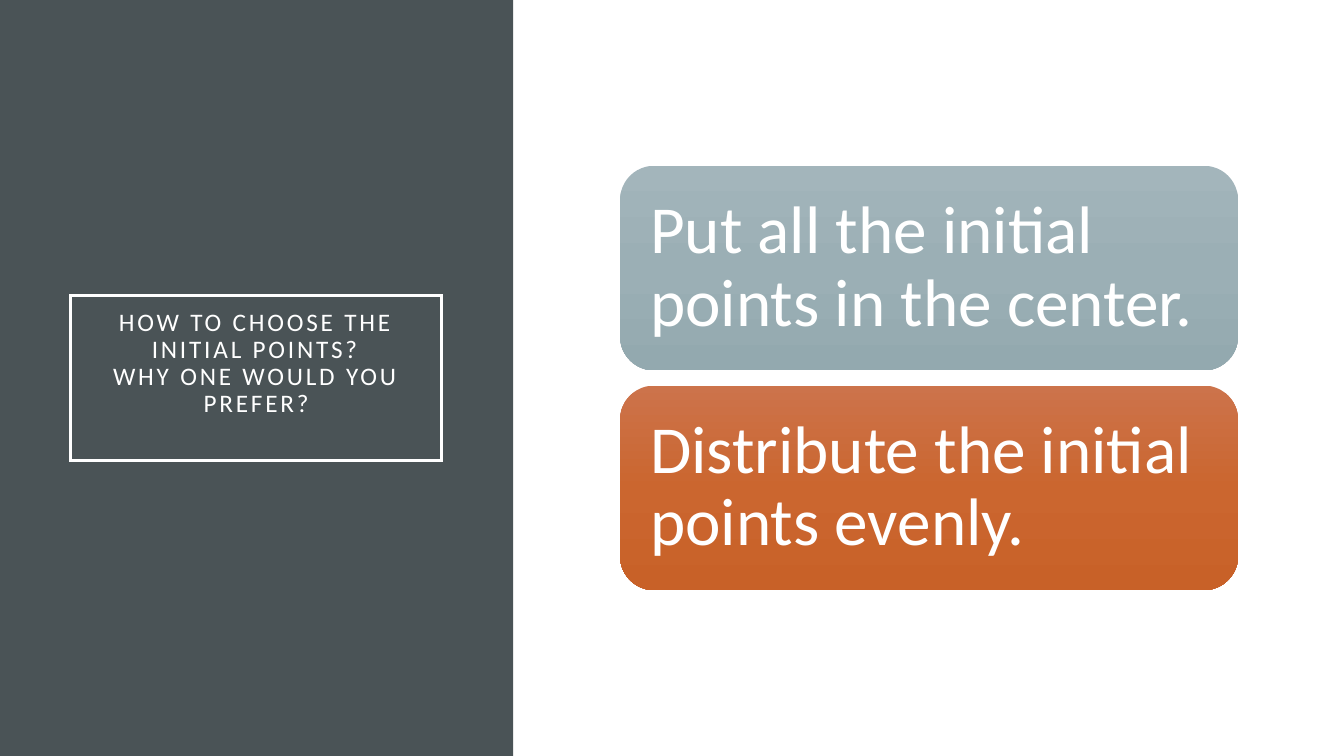
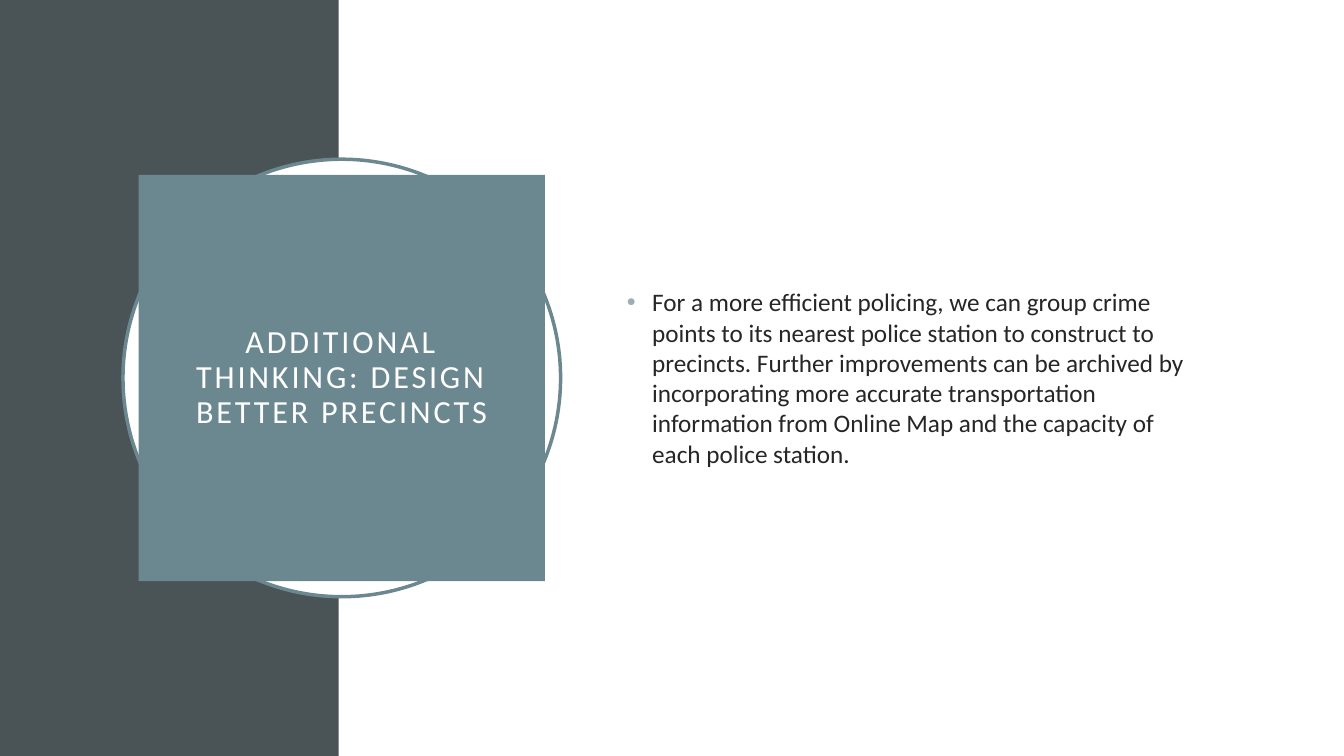
import copy
from dataclasses import dataclass

import pptx
import pptx.dml.color
import pptx.enum.shapes
import pptx.enum.text
import pptx.oxml
import pptx.oxml.ns
import pptx.util

Inches = pptx.util.Inches
Pt = pptx.util.Pt
SHAPES = pptx.enum.shapes.MSO_SHAPE
ALIGN = pptx.enum.text.PP_ALIGN
qn = pptx.oxml.ns.qn

# Content
QUESTION = "HOW TO CHOOSE THE INITIAL POINTS?\vWHY ONE WOULD YOU PREFER?"
OPTIONS = [
    ("Put all the initial points in the center.", ("A3B5BB", "9BAFB5", "93A9AF")),
    ("Distribute the initial points evenly.", ("CC734B", "CB662F", "C86128")),
]
THINKING = "ADDITIONAL THINKING: DESIGN BETTER PRECINCTS"
IDEA = (
    "For a more efficient policing, we can group crime points to its nearest police "
    "station to construct to precincts. Further improvements can be archived by "
    "incorporating more accurate transportation information from Online Map and the "
    "capacity of each police station."
)


@dataclass(frozen=True)
class Theme:
    font: str = "Calibri"
    band: str = "4A5356"
    accent: str = "6B8891"
    bullet: str = "9BAFB5"
    white: str = "FFFFFF"
    ink: str = "262626"
    outline: float = 2.5
    question_size: int = 18
    thinking_size: int = 23
    option_size: int = 48
    body_size: int = 18
    tracking: int = 200  # hundredths of a point
    tight: float = 0.9


THEME = Theme()
SLIDE_WIDTH, SLIDE_HEIGHT = 13.33, 7.5


def rgb(value):
    return pptx.dml.color.RGBColor.from_string(value)


# Shared parts
def add_panel(slide, kind, box, fill=None, line=None):
    shape = slide.shapes.add_shape(kind, *map(Inches, box))
    shape.shadow.inherit = False
    if fill:
        shape.fill.solid()
        shape.fill.fore_color.rgb = rgb(fill)
    else:
        shape.fill.background()
    if line:
        shape.line.color.rgb = rgb(line)
        shape.line.width = Pt(THEME.outline)
        outline = shape._element.spPr.find(qn("a:ln"))
        outline.append(outline.makeelement(qn("a:miter"), {"lim": "800000"}))
    else:
        shape.line.fill.background()
    return shape


def set_text(shape, text, size, color, align, margins, spacing=1.0):
    frame = shape.text_frame
    frame.word_wrap = True
    frame.vertical_anchor = pptx.enum.text.MSO_ANCHOR.MIDDLE
    (frame.margin_left, frame.margin_top,
     frame.margin_right, frame.margin_bottom) = map(Inches, margins)
    paragraph = frame.paragraphs[0]
    paragraph.text = text
    paragraph.alignment = align
    paragraph.line_spacing = spacing
    for run in paragraph.runs:
        run.font.name = THEME.font
        run.font.size = Pt(size)
        run.font.color.rgb = rgb(color)
    return paragraph


def set_title(shape, text, size, margins):
    paragraph = set_text(shape, text, size, THEME.white, ALIGN.CENTER,
                         margins, THEME.tight)
    for run in paragraph.runs:
        run.font._element.set("spc", str(THEME.tracking))


def add_slide(presentation, band_width):
    slide = presentation.slides.add_slide(presentation.slide_layouts[6])
    add_panel(slide, SHAPES.RECTANGLE, (0, 0, band_width, SLIDE_HEIGHT), THEME.band)
    return slide


def set_gradient(shape, colors):
    shape.fill.gradient()
    shape.fill.gradient_angle = 270  # top to bottom
    stop_list = shape._element.spPr.find(".//" + qn("a:gsLst"))
    stop_list.insert(1, copy.deepcopy(stop_list[0]))
    for index, (stop, color) in enumerate(zip(shape.fill.gradient_stops, colors)):
        stop.color.rgb = rgb(color)
        stop.position = index / (len(colors) - 1)


def add_bullet(paragraph, indent):
    properties = paragraph._p.get_or_add_pPr()
    properties.set("marL", str(Inches(indent)))
    properties.set("indent", str(-Inches(indent)))
    color = properties.makeelement(qn("a:buClr"), {})
    color.append(color.makeelement(qn("a:srgbClr"), {"val": THEME.bullet}))
    font = properties.makeelement(qn("a:buFont"), {"typeface": "Arial"})
    mark = properties.makeelement(qn("a:buChar"), {"char": "•"})
    properties.extend([color, font, mark])


# Slide 1: framed question beside a stack of options
def build_question(presentation):
    slide = add_slide(presentation, 5.09)
    frame = add_panel(slide, SHAPES.RECTANGLE, (0.7, 2.93, 3.68, 1.64),
                      line=THEME.white)
    set_title(frame, QUESTION, THEME.question_size, (0.2, 0.2, 0.2, 0.48))

    left, width, height, gap = 6.15, 6.13, 2.03, 0.15
    count = len(OPTIONS)
    top = (SLIDE_HEIGHT - count * height - (count - 1) * gap) / 2
    for index, (text, colors) in enumerate(OPTIONS):
        card = add_panel(slide, SHAPES.ROUNDED_RECTANGLE,
                         (left, top + index * (height + gap), width, height))
        set_gradient(card, colors)
        # The rounded corners inset the text by a further 0.1 inch
        set_text(card, text, THEME.option_size, THEME.white, ALIGN.LEFT,
                 (0.2, 0.1, 0.15, 0.1), THEME.tight)


# Slide 2: square title over a ring, with one bulleted idea
def build_thinking(presentation):
    slide = add_slide(presentation, 3.36)
    center_x, center_y = 3.39, SLIDE_HEIGHT / 2

    def centered(side):
        return center_x - side / 2, center_y - side / 2, side, side

    add_panel(slide, SHAPES.OVAL, centered(4.34), THEME.white, THEME.accent)
    square = add_panel(slide, SHAPES.RECTANGLE, centered(4.03), THEME.accent)
    set_title(square, THINKING, THEME.thinking_size, (0.4, 0.2, 0.4, 0.2))

    body = slide.shapes.add_textbox(*map(Inches, (6.12, 1.53, 5.82, 4.43)))
    paragraph = set_text(body, IDEA, THEME.body_size, THEME.ink, ALIGN.LEFT,
                         (0.1, 0.05, 0.1, 0.05))
    paragraph.space_before = Pt(10)
    add_bullet(paragraph, 0.25)


def main():
    presentation = pptx.Presentation()
    presentation.slide_width = Inches(SLIDE_WIDTH)
    presentation.slide_height = Inches(SLIDE_HEIGHT)
    build_question(presentation)
    build_thinking(presentation)
    presentation.save("out.pptx")


if __name__ == "__main__":
    main()
